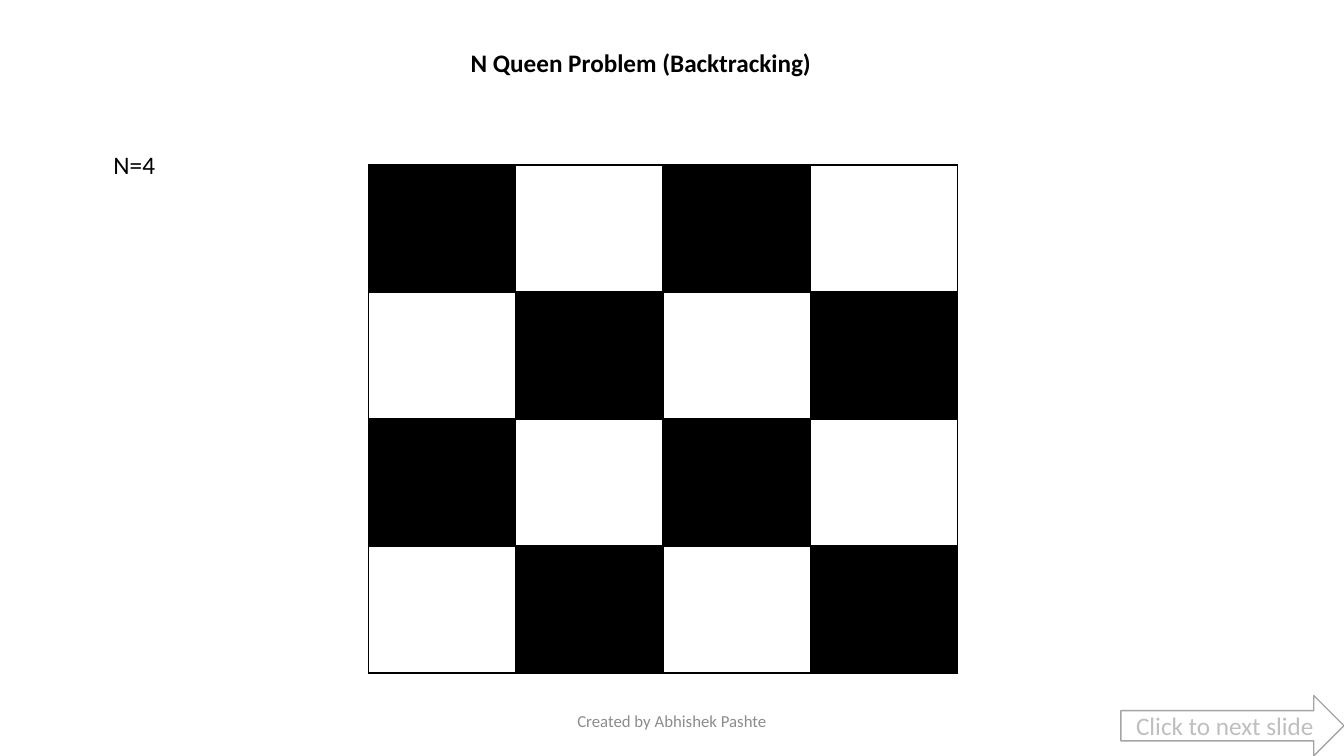
"""Build the N Queen Problem slide with a 4 by 4 chessboard."""
from lxml import etree
from pptx import Presentation
from pptx.dml.color import RGBColor
from pptx.enum.shapes import MSO_SHAPE
from pptx.enum.text import MSO_ANCHOR, PP_ALIGN
from pptx.oxml.ns import qn
from pptx.util import Pt

BLACK = RGBColor(0x00, 0x00, 0x00)
WHITE = RGBColor(0xFF, 0xFF, 0xFF)
ARROW_LINE = RGBColor(0xA5, 0xA5, 0xA5)
ARROW_TEXT = RGBColor(0xBF, 0xBF, 0xBF)
FOOTER_GRAY = RGBColor(0x8C, 0x8C, 0x8C)
LEFT, CENTER = PP_ALIGN.LEFT, PP_ALIGN.CENTER
TOP, MIDDLE = MSO_ANCHOR.TOP, MSO_ANCHOR.MIDDLE
RIGHT_ARROW = MSO_SHAPE.RIGHT_ARROW
N = 4
CELL_W, CELL_H = 105.3, 90.72


def write(sp, text, size, color, align=LEFT, anchor=TOP, bold=False):
    tf = sp.text_frame
    tf.word_wrap = True
    tf.vertical_anchor = anchor
    p = tf.paragraphs[0]
    p.alignment = align
    r = p.add_run()
    r.text = text
    r.font.name = "Calibri"
    r.font.size = Pt(size)
    r.font.bold = bold
    r.font.color.rgb = color


def add_border(cell):
    tc_pr = cell._tc.get_or_add_tcPr()
    for side in ("a:lnL", "a:lnR", "a:lnT", "a:lnB"):
        ln = etree.SubElement(tc_pr, qn(side), w=str(Pt(1)))
        fill = etree.SubElement(ln, qn("a:solidFill"))
        etree.SubElement(fill, qn("a:srgbClr"), val=str(BLACK))


prs = Presentation()
prs.slide_width, prs.slide_height = Pt(960), Pt(540)
s = prs.slides.add_slide(prs.slide_layouts[5])

board = s.shapes.add_table(N, N, Pt(263), Pt(117.9), Pt(N * CELL_W), Pt(N * CELL_H)).table
for i in range(N):
    board.columns[i].width = Pt(CELL_W)
    board.rows[i].height = Pt(CELL_H)
    for j in range(N):
        cell = board.cell(i, j)
        add_border(cell)
        cell.fill.solid()
        cell.fill.fore_color.rgb = WHITE if (i + j) % 2 else BLACK

title = s.shapes.title
title.left, title.top, title.width, title.height = Pt(329), Pt(30.5), Pt(332), Pt(29)
write(title, "N Queen Problem (Backtracking)", 18, BLACK, bold=True)

size_label = s.shapes.add_textbox(Pt(74), Pt(103.2), Pt(103), Pt(29))
write(size_label, "N=4", 18, BLACK)

arrow = s.shapes.add_shape(RIGHT_ARROW, Pt(800.7), Pt(496.8), Pt(159.3), Pt(43.2))
arrow.shadow.inherit = False
arrow.fill.solid()
arrow.fill.fore_color.rgb = WHITE
arrow.line.color.rgb = ARROW_LINE
arrow.line.width = Pt(1)
write(arrow, "Click to next slide", 18, ARROW_TEXT, CENTER, MIDDLE)

footer = s.shapes.add_textbox(Pt(318), Pt(500.5), Pt(324), Pt(29))
write(footer, "Created by Abhishek Pashte", 12, FOOTER_GRAY, CENTER, MIDDLE)

prs.save("out.pptx")
